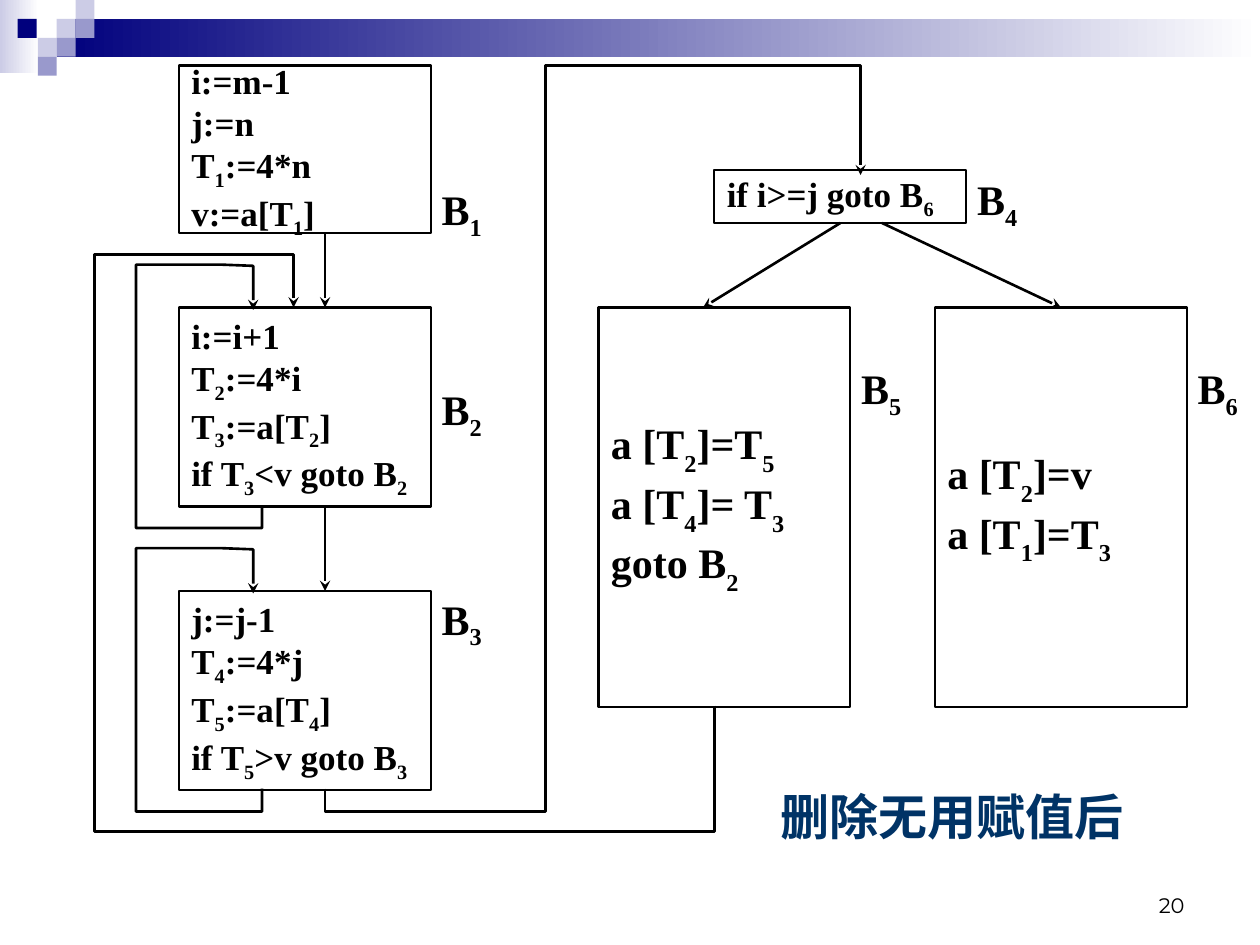
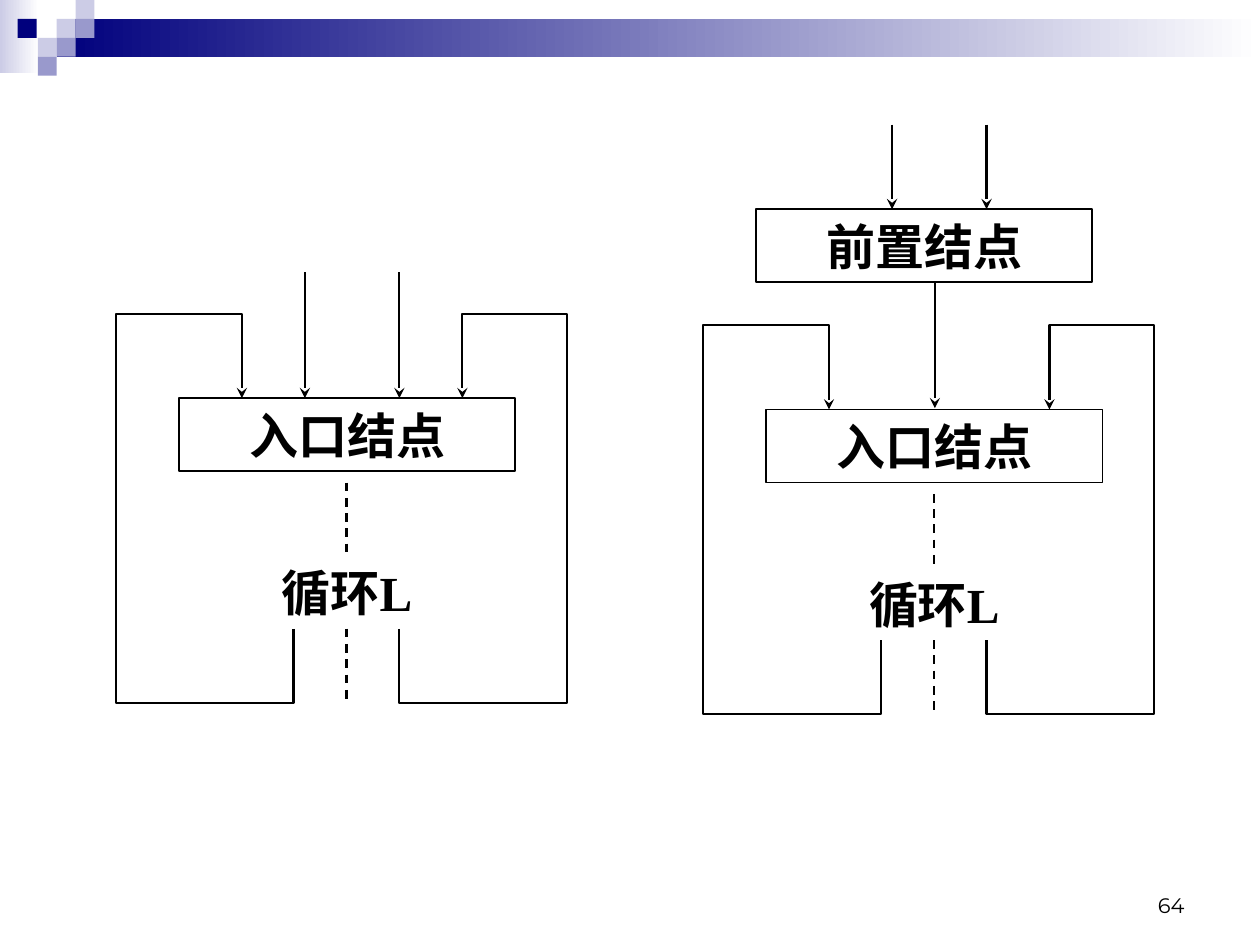
from itertools import pairwise

from lxml.etree import SubElement
from pptx import Presentation
from pptx.dml.color import RGBColor
from pptx.enum.dml import MSO_LINE
from pptx.enum.shapes import MSO_CONNECTOR, MSO_SHAPE
from pptx.enum.text import MSO_ANCHOR, PP_ALIGN
from pptx.oxml.ns import qn
from pptx.util import Inches, Pt

BLACK, NAVY, TITLE_BLUE = "000000", "00007D", "003366"
LAVENDER, PERIWINKLE, WHITE = "CCCCE6", "9999CC", "FFFFFF"
SERIF, CHINESE, NUMBER_FONT = "Times New Roman", "Noto Sans CJK SC", "Montserrat"

# Shared band: left, top, width, height, colour or two gradient colours
BANDS = [
    (0, 0, 0.31, 0.58, (LAVENDER, WHITE)),
    (0.45, 0.15, 9.55, 0.3, (NAVY, WHITE)),
]
TILE = 0.15
TILES = [
    (0.45, 0.15, LAVENDER), (0.6, 0, LAVENDER), (0.6, 0.15, PERIWINKLE),
    (0.3, 0.3, LAVENDER), (0.14, 0.15, NAVY), (0.45, 0.3, PERIWINKLE),
    (0.3, 0.45, PERIWINKLE),
]

# Slide 1. An underscore lowers the character after it.
CAPTION = "删除无用赋值后"
BLOCK_WIDTH, LABEL_SIZE, LABEL_OVERLAP = 2, 0.67, 0.09
# label, left, top, height, label top, font size, subscript drop (%), code
BLOCKS = [
    ("B_1", 1.42, 0.52, 1.33, 1.35, 20, 25,
     ["i:=m-1", "j:=n", "T_1:=4*n", "v:=a[T_1]"]),
    ("B_2", 1.42, 2.44, 1.58, 2.94, 20, 25,
     ["i:=i+1", "T_2:=4*i", "T_3:=a[T_2]", "if T_3<v goto B_2"]),
    ("B_3", 1.42, 4.69, 1.58, 4.6, 20, 25,
     ["j:=j-1", "T_4:=4*j", "T_5:=a[T_4]", "if T_5>v goto B_3"]),
    ("B_4", 5.67, 1.35, 0.42, 1.27, 20, 25, ["if i>=j goto B_6"]),
    ("B_5", 4.75, 2.44, 3.17, 2.77, 24, 30,
     ["a [T_2]=T_5", "a [T_4]= T_3", "goto B_2"]),
    ("B_6", 7.42, 2.44, 3.17, 2.77, 24, 30, ["a [T_2]=v", "a [T_1]=T_3"]),
]
SELF_LOOP = [(1, 1.91), (1, 2.09), (0, 2.09), (0, 0), (0.67, 0), (0.93, 0.01), (0.93, 0.36)]
SELF_LOOP_LEFT, SELF_LOOP_TOPS = 1.08, (2.1, 4.35)
FLOWS = [
    [(2.58, 1.85), (2.58, 2.44)],
    [(2.58, 4.02), (2.58, 4.69)],
    [(2.58, 6.26), (2.58, 6.44), (4.33, 6.44), (4.33, 0.52), (6.83, 0.52), (6.83, 1.39)],
    [(6.67, 1.77), (5.58, 2.44)],
    [(7, 1.77), (8.42, 2.44)],
    [(5.67, 5.6), (5.67, 6.6), (0.75, 6.6), (0.75, 2.02), (2.33, 2.02), (2.33, 2.44)],
]

# Slide 2. Loop parts are measured from the loop's top left corner.
ENTRY, LOOP, PREHEADER = "入口结点", "循环L", "前置结点"
NODE_WIDTH, NODE_HEIGHT = 2.67, 0.58
LOOP_ORIGINS = [(0.92, 2.49), (5.58, 2.58)]
ENTRY_OFFSET, LOOP_TEXT_OFFSET = (0.5, 0.67), (0.5, 1.92)
BACK_EDGES = [
    [(1.41, 2.5), (1.41, 3.09), (0, 3.09), (0, 0), (1, 0), (1, 0.67)],
    [(2.25, 2.5), (2.25, 3.09), (3.58, 3.09), (3.58, 0), (2.75, 0), (2.75, 0.67)],
]
LOOP_DASHES = [[(1.83, 1.34), (1.83, 1.92)], [(1.83, 2.5), (1.83, 3.09)]]
PREHEADER_AT = (6, 1.66)
ENTRY_ARROWS = [
    [(2.42, 2.16), (2.42, 3.16)], [(3.17, 2.16), (3.17, 3.16)],
    [(7.08, 0.99), (7.08, 1.66)], [(7.83, 0.99), (7.83, 1.66)],
    [(7.42, 2.24), (7.42, 3.24)],
]


def rgb(color):
    return RGBColor.from_string(color)


def shift(points, left, top):
    return [(left + x, top + y) for x, y in points]


def add_box(slide, left, top, width, height, fill=None, line_width=None):
    """Add a rectangle; fill is a colour, two gradient colours or None."""
    shape = slide.shapes.add_shape(
        MSO_SHAPE.RECTANGLE, *map(Inches, (left, top, width, height)))
    shape.shadow.inherit = False
    if fill is None:
        shape.fill.background()
    elif isinstance(fill, tuple):
        shape.fill.gradient()
        shape.fill.gradient_angle = 0
        for stop, color, position in zip(shape.fill.gradient_stops, fill, (0, 1)):
            stop.color.rgb = rgb(color)
            stop.position = position
    else:
        shape.fill.solid()
        shape.fill.fore_color.rgb = rgb(fill)
    if line_width:
        shape.line.color.rgb = rgb(BLACK)
        shape.line.width = Pt(line_width)
    else:
        shape.line.fill.background()
    return shape


def add_text_box(slide, left, top, width, height):
    return slide.shapes.add_textbox(*map(Inches, (left, top, width, height)))


def add_run(paragraph, text, color, font, drop=0):
    run = paragraph.add_run()
    run.text = text
    for name, value in font.items():
        setattr(run.font, name, value)
    run.font.color.rgb = rgb(color)
    properties = run._r.get_or_add_rPr()
    SubElement(properties, qn("a:ea")).set("typeface", CHINESE)
    if drop:
        properties.set("baseline", str(-drop * 1000))


def write(shape, lines, size, align=PP_ALIGN.LEFT, anchor=MSO_ANCHOR.MIDDLE,
          font=SERIF, bold=True, color=BLACK, drop=25):
    """Fill a shape with lines, lowering each character after an underscore."""
    frame = shape.text_frame
    frame.word_wrap = True
    frame.vertical_anchor = anchor
    style = {"name": font, "size": Pt(size), "bold": bold}
    for index, line in enumerate(lines):
        paragraph = frame.paragraphs[0] if index == 0 else frame.add_paragraph()
        paragraph.alignment = align
        start, *rest = line.split("_")
        add_run(paragraph, start, color, style)
        for part in rest:
            add_run(paragraph, part[0], color, style, drop)
            if part[1:]:
                add_run(paragraph, part[1:], color, style)


def add_path(slide, points, width, dashed=False):
    """Draw a line through the points: an arrow, or dashed without a head."""
    points = [(Inches(x), Inches(y)) for x, y in points]
    if len(points) == 2:
        shape = slide.shapes.add_connector(MSO_CONNECTOR.STRAIGHT, *points[0], *points[1])
    else:
        builder = slide.shapes.build_freeform(*points[0], scale=1.0)
        builder.add_line_segments(points[1:], close=False)
        shape = builder.convert_to_shape()
        shape.fill.background()
    shape.line.color.rgb = rgb(BLACK)
    shape.line.width = Pt(width)
    properties = shape.element.spPr
    if dashed:
        shape.line.dash_style = MSO_LINE.DASH
    else:
        SubElement(properties.find(qn("a:ln")), qn("a:tailEnd")).set("type", "stealth")
    SubElement(properties, qn("a:effectLst"))


def add_base_slide(presentation, number):
    slide = presentation.slides.add_slide(presentation.slide_layouts[6])
    for left, top, width, height, colors in BANDS:
        add_box(slide, left, top, width, height, colors)
    for left, top, color in TILES:
        add_box(slide, left, top, TILE, TILE, color)
    write(add_text_box(slide, 7.17, 6.83, 2.33, 0.5), [number], 12, PP_ALIGN.RIGHT,
          MSO_ANCHOR.BOTTOM, NUMBER_FONT, bold=False)
    return slide


def build_flow_graph(presentation):
    slide = add_base_slide(presentation, "20")
    write(add_text_box(slide, 6.1, 6.19, 3.46, 0.57), [CAPTION], 28,
          anchor=MSO_ANCHOR.TOP, font=CHINESE, color=TITLE_BLUE)
    for label, left, top, height, label_top, size, drop, code in BLOCKS:
        block = add_box(slide, left, top, BLOCK_WIDTH, height, line_width=1.25)
        write(block, code, size, drop=drop)
        label_left = left + BLOCK_WIDTH - LABEL_OVERLAP
        write(add_text_box(slide, label_left, label_top, LABEL_SIZE, LABEL_SIZE),
              [label], 24, PP_ALIGN.CENTER)
    self_loops = [shift(SELF_LOOP, SELF_LOOP_LEFT, top) for top in SELF_LOOP_TOPS]
    for points in FLOWS + self_loops:
        add_path(slide, points, 1.5)


def add_node(slide, left, top, text):
    node = add_box(slide, left, top, NODE_WIDTH, NODE_HEIGHT, line_width=1)
    write(node, [text], 28, PP_ALIGN.CENTER)


def build_preheader(presentation):
    slide = add_base_slide(presentation, "64")
    for left, top in LOOP_ORIGINS:
        (entry_at, text_at) = shift([ENTRY_OFFSET, LOOP_TEXT_OFFSET], left, top)
        add_node(slide, *entry_at, ENTRY)
        write(add_text_box(slide, *text_at, NODE_WIDTH, NODE_HEIGHT),
              [LOOP], 28, PP_ALIGN.CENTER)
        for points in BACK_EDGES:
            add_path(slide, shift(points, left, top), 1.25)
        for points in LOOP_DASHES:
            add_path(slide, shift(points, left, top), 1.25, dashed=True)
    add_node(slide, *PREHEADER_AT, PREHEADER)
    for points in ENTRY_ARROWS:
        add_path(slide, points, 1.25)


def main():
    presentation = Presentation()
    presentation.slide_width = Inches(10)
    presentation.slide_height = Inches(7.5)
    build_flow_graph(presentation)
    build_preheader(presentation)
    presentation.save("out.pptx")


if __name__ == "__main__":
    main()
